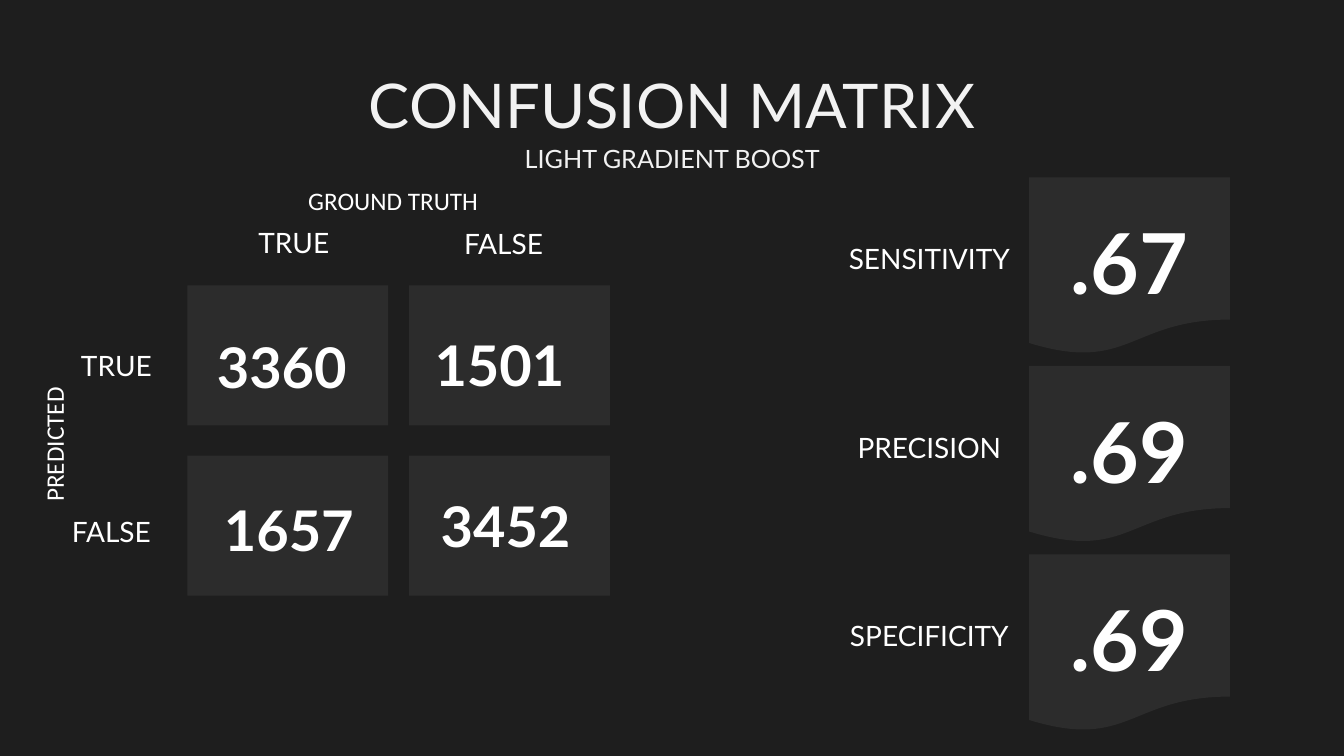
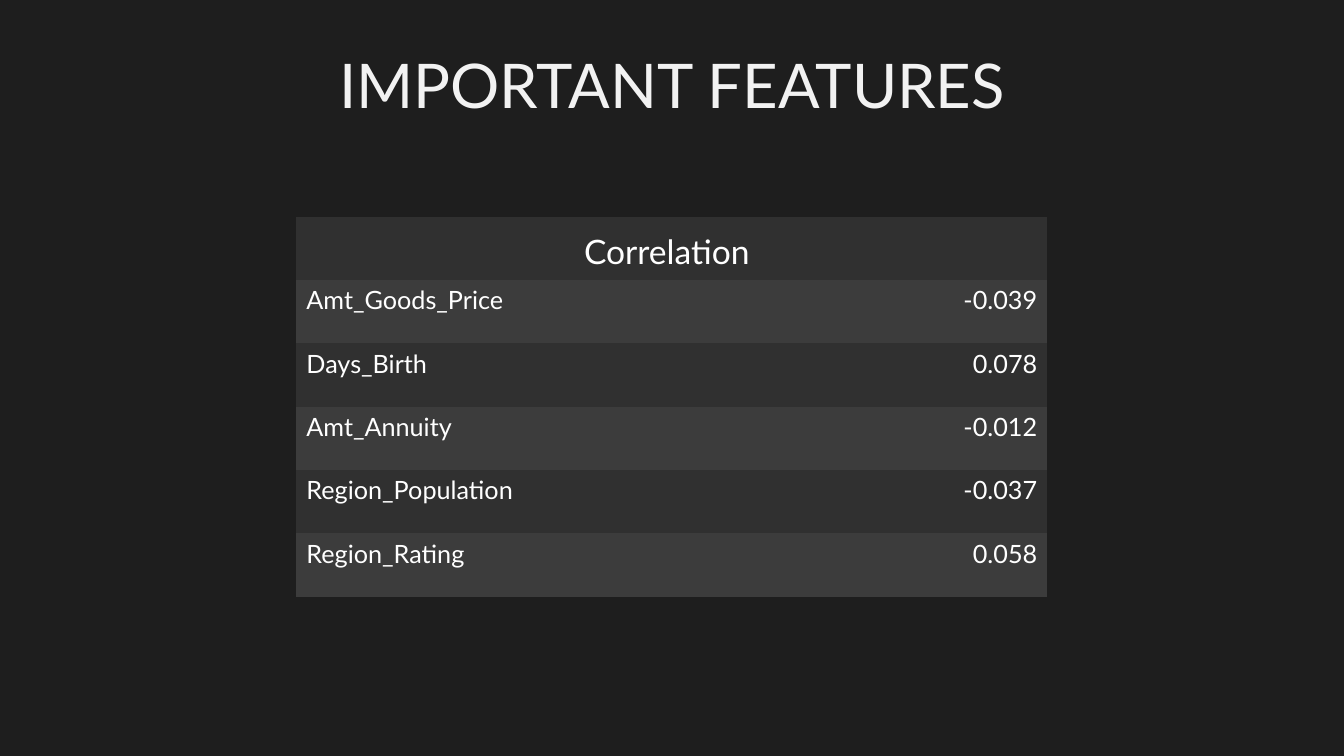
from itertools import product

from pptx import Presentation
from pptx.dml.color import RGBColor
from pptx.enum.shapes import MSO_SHAPE
from pptx.enum.text import MSO_ANCHOR, MSO_AUTO_SIZE, PP_ALIGN
from pptx.oxml.ns import qn
from pptx.util import Inches, Pt

BACKDROP = RGBColor(0x1E, 0x1E, 0x1E)
PANEL = RGBColor(0x2C, 0x2C, 0x2C)
ROW_DARK = RGBColor(0x30, 0x30, 0x30)
ROW_LIGHT = RGBColor(0x3C, 0x3C, 0x3C)
WHITE = RGBColor(0xFF, 0xFF, 0xFF)
OFF_WHITE = RGBColor(0xF2, 0xF2, 0xF2)

UNIT = Inches(0.1)  # side of one grid square
COLS, ROWS = 133.33, 75
PLAIN_TABLE = "{2D5ABB26-0587-4C30-8999-92F81FD0307C}"

TITLE = dict(size=44, color=OFF_WHITE, line_spacing=0.9)
SUBTITLE = dict(size=18, color=OFF_WHITE, line_spacing=0.9)
LABEL = dict(size=20)
COUNT = dict(size=40, bold=True)
SCORE = dict(size=60, bold=True)
AXIS = dict(size=18, name="Calibri", align=PP_ALIGN.LEFT)


def grid(*squares):
    return [round(n * UNIT) for n in squares]


class Deck:
    def __init__(self):
        self.prs = Presentation()
        self.prs.slide_width, self.prs.slide_height = grid(COLS, ROWS)
        fill = self.prs.slide_master.background.fill
        fill.solid()
        fill.fore_color.rgb = BACKDROP
        self.s = None

    def put_run(self, tf, text, size, color=WHITE, name="Lato", bold=False,
                align=PP_ALIGN.CENTER, line_spacing=None):
        p = tf.paragraphs[0]
        p.alignment = align
        if line_spacing:
            p.line_spacing = line_spacing
        r = p.add_run()
        r.text = text
        for key, value in dict(size=Pt(size), name=name, bold=bold).items():
            setattr(r.font, key, value)
        r.font.color.rgb = color

    def slide(self, title, top):
        """Start a title-only slide whose title begins at grid row top."""
        self.s = self.prs.slides.add_slide(self.prs.slide_layouts[5])
        sp = self.s.shapes.title
        sp.left, sp.top, sp.width, sp.height = grid(9.2, top, 115, 7.9)
        sp.text_frame.vertical_anchor = MSO_ANCHOR.MIDDLE
        self.put_run(sp.text_frame, title, **TITLE)

    def text(self, text, x, y, w, h, style, wrap=True, rotation=0):
        sp = self.s.shapes.add_textbox(*grid(x, y, w, h))
        sp.rotation = rotation
        tf = sp.text_frame
        tf.word_wrap = wrap
        tf.auto_size = MSO_AUTO_SIZE.SHAPE_TO_FIT_TEXT
        self.put_run(tf, text, **style)

    def panel(self, kind, x, y, w, h):
        sp = self.s.shapes.add_shape(kind, *grid(x, y, w, h))
        sp.shadow.inherit = False
        sp.fill.solid()
        sp.fill.fore_color.rgb = PANEL
        sp.line.fill.background()

    def table(self, heading, rows, x, y, w, h):
        """Add a two-column banded table under one merged heading."""
        frame = self.s.shapes.add_table(len(rows) + 1, 2, *grid(x, y, w, h))
        for style_id in frame.element.iter(qn("a:tableStyleId")):
            style_id.text = PLAIN_TABLE
        table = frame.table
        for i, row in enumerate(table.rows):
            for cell in row.cells:
                cell.fill.solid()
                cell.fill.fore_color.rgb = ROW_LIGHT if i % 2 else ROW_DARK
        head = table.cell(0, 0)
        head.merge(table.cell(0, 1))
        head.vertical_anchor = MSO_ANCHOR.MIDDLE
        head.margin_right, head.margin_top = grid(2, 1.2)
        self.put_run(head.text_frame, heading, 24)
        for i, values in enumerate(rows, 1):
            for j, align in enumerate((PP_ALIGN.LEFT, PP_ALIGN.RIGHT)):
                self.put_run(table.cell(i, j).text_frame, values[j], 18,
                             align=align)


def confusion_matrix(deck):
    deck.slide("CONFUSION MATRIX", 6.8)
    deck.text("LIGHT GRADIENT BOOST", 9.2, 14.05, 115, 4.2, SUBTITLE)

    panel_w, panel_h = 19.9, 13.9
    for x, y in product((18.6, 40.6), (28.3, 45.2)):
        deck.panel(MSO_SHAPE.RECTANGLE, x, y, panel_w, panel_h)
    for count, x, y in (("3360", 18, 32.5), ("1501", 39.6, 32.3),
                        ("1657", 18.7, 48.7), ("3452", 40.2, 48.3)):
        deck.text(count, x, y, panel_w, 7.7, COUNT)
    for label, x, y in (("TRUE", 19.2, 21.9), ("FALSE", 40, 22),
                        ("TRUE", 1.6, 34.1), ("FALSE", 1.1, 50.6)):
        deck.text(label, x, y, panel_w, 4.4, LABEL)
    deck.text("GROUND TRUTH", 29.6, 17.9, 19, 4, AXIS, wrap=False)
    deck.text("PREDICTED", -1.4, 42, 13.5, 4, AXIS, wrap=False, rotation=270)

    scores = (("SENSITIVITY", ".67"), ("PRECISION", ".69"),
              ("SPECIFICITY", ".69"))
    for i, (label, score) in enumerate(scores):
        y = 17.6 + 18.7 * i
        deck.panel(MSO_SHAPE.FLOWCHART_DOCUMENT, 102.1, y, panel_w, 17.6)
        deck.text(label, 81.6, y + 5.9, 21.2, 4.4, LABEL)
        deck.text(score, 102.1, y + 2.8, panel_w, 11.1, SCORE)


def important_features(deck):
    deck.slide("IMPORTANT FEATURES", 4.8)
    features = (("Amt_Goods_Price", "-0.039"), ("Days_Birth", "0.078"),
                ("Amt_Annuity", "-0.012"), ("Region_Population", "-0.037"),
                ("Region_Rating", "0.058"))
    deck.table("Correlation", features, 29.4, 21.5, 74.5, 37.7)


def main():
    deck = Deck()
    confusion_matrix(deck)
    important_features(deck)
    deck.prs.save("out.pptx")


if __name__ == "__main__":
    main()
